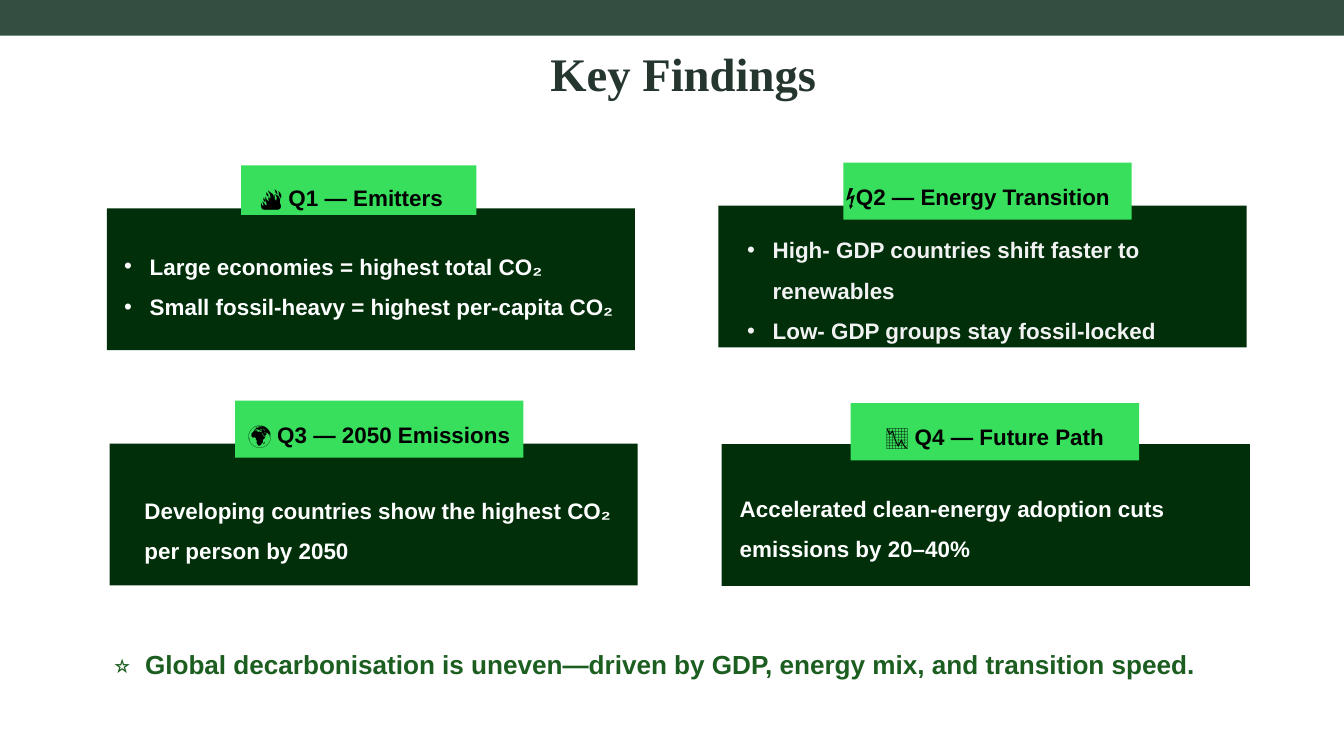
"""Build the Key Findings slide: four question cards and a closing line."""
from dataclasses import dataclass

from lxml.etree import SubElement
from pptx import Presentation
from pptx.dml.color import RGBColor as Rgb
from pptx.enum.shapes import MSO_SHAPE as Shape
from pptx.enum.text import MSO_ANCHOR as Anchor, MSO_AUTO_SIZE as Fit, PP_ALIGN as Align
from pptx.oxml.ns import qn
from pptx.util import Pt

SCALE = 9144


@dataclass(frozen=True)
class Theme:
    bar: str = "344E41"
    panel: str = "002F0A"
    tag: str = "38DF5C"
    title: str = "25362E"
    label: str = "000000"
    light: str = "FFFFFF"
    soft: str = "F2F2F2"
    close: str = "1B5E20"
    head: str = "Times New Roman"
    sans: str = "Arial"
    big: int = 50
    mid: int = 28
    base: int = 24


class Deck:
    def __init__(self, theme, wide, high):
        self.theme = theme
        self.prs = Presentation()
        self.prs.slide_width = wide * SCALE
        self.prs.slide_height = high * SCALE
        self.slide = self.prs.slides.add_slide(self.prs.slide_layouts[5])

    def rect(self, box, color):
        shape = self.slide.shapes.add_shape(Shape.RECTANGLE, *(v * SCALE for v in box))
        shape.shadow.inherit = False
        shape.fill.solid()
        shape.fill.fore_color.rgb = Rgb.from_string(color)
        shape.line.fill.background()

    def fill(self, shape, lines, color, size, font, align=Align.LEFT,
             space=1.0, inset=(10, 5), hang=0, bullet=False):
        frame = shape.text_frame
        side, edge = (v * SCALE for v in inset)
        form = dict(word_wrap=True, auto_size=Fit.SHAPE_TO_FIT_TEXT,
                    vertical_anchor=Anchor.TOP, margin_left=side,
                    margin_right=side, margin_top=edge, margin_bottom=edge)
        for name, value in form.items():
            setattr(frame, name, value)
        for i, line in enumerate(lines):
            para = frame.add_paragraph() if i else frame.paragraphs[0]
            props = para._p.get_or_add_pPr()
            if hang:
                props.set("marL", str(hang * SCALE))
                props.set("indent", str(-hang * SCALE))
            if bullet:
                SubElement(props, qn("a:buFont"), typeface=font)
                SubElement(props, qn("a:buChar"), char="•")
            para.alignment = align
            para.line_spacing = space
            run = para.add_run()
            run.text = line
            for name, value in dict(name=font, size=Pt(size), bold=True).items():
                setattr(run.font, name, value)
            run.font.color.rgb = Rgb.from_string(color)

    def title(self, box, line):
        shape = self.slide.shapes.title
        for name, value in zip(("left", "top", "width", "height"), box):
            setattr(shape, name, value * SCALE)
        look = self.theme
        self.fill(shape, [line], look.title, look.big, look.head,
                  align=Align.CENTER, inset=(0, 0))

    def text(self, box, lines, color, size, **form):
        shape = self.slide.shapes.add_textbox(*(v * SCALE for v in box))
        self.fill(shape, lines, color, size, self.theme.sans, **form)

    def card(self, panel, tag, label, head, align, body, lines, color, hang=0):
        look = self.theme
        self.rect((*panel, 786, 211), look.panel)
        self.rect(tag, look.tag)
        self.text(label, [head], look.label, look.base, align=align,
                  space=1.5, inset=(0, 0))
        self.text(body, lines, color, look.base, space=1.5,
                  hang=hang, bullet=hang > 0)


def main():
    look = Theme()
    deck = Deck(look, 2000, 1125)
    deck.rect((0, -21, 2000, 74), look.bar)
    deck.title((779, 67, 476, 84), "Key Findings")
    cards = [
        dict(panel=(159, 310), tag=(359, 246, 350, 74), label=(387, 254, 298, 55),
             head="🔥 Q1 — Emitters", align=Align.LEFT, body=(175, 351, 770, 125),
             lines=["Large economies = highest total CO₂",
                    "Small fossil-heavy = highest per-capita CO₂"],
             color=look.light, hang=38),
        dict(panel=(1069, 306), tag=(1255, 242, 429, 85), label=(1258, 252, 429, 55),
             head="⚡Q2 — Energy Transition", align=Align.LEFT,
             body=(1102, 327, 741, 184),
             lines=["High- GDP countries shift faster to renewables",
                    "Low- GDP groups stay fossil-locked"],
             color=look.soft, hang=38),
        dict(panel=(163, 660), tag=(350, 596, 429, 85), label=(350, 607, 429, 55),
             head="🌍 Q3 — 2050 Emissions", align=Align.CENTER,
             body=(205, 715, 755, 124),
             lines=["Developing countries show the highest CO₂ per person by 2050"],
             color=look.light),
        dict(panel=(1074, 661), tag=(1266, 600, 429, 85), label=(1266, 610, 429, 55),
             head="📉 Q4 — Future Path", align=Align.CENTER,
             body=(1091, 712, 757, 124),
             lines=["Accelerated clean-energy adoption cuts emissions by 20–40%"],
             color=look.light),
    ]
    for card in cards:
        deck.card(**card)
    deck.text((159, 960, 1811, 57),
              ["⭐\tGlobal decarbonisation is uneven—driven by GDP, energy mix, "
               "and transition speed."],
              look.close, look.mid, hang=47)
    deck.prs.save("out.pptx")


if __name__ == "__main__":
    main()
